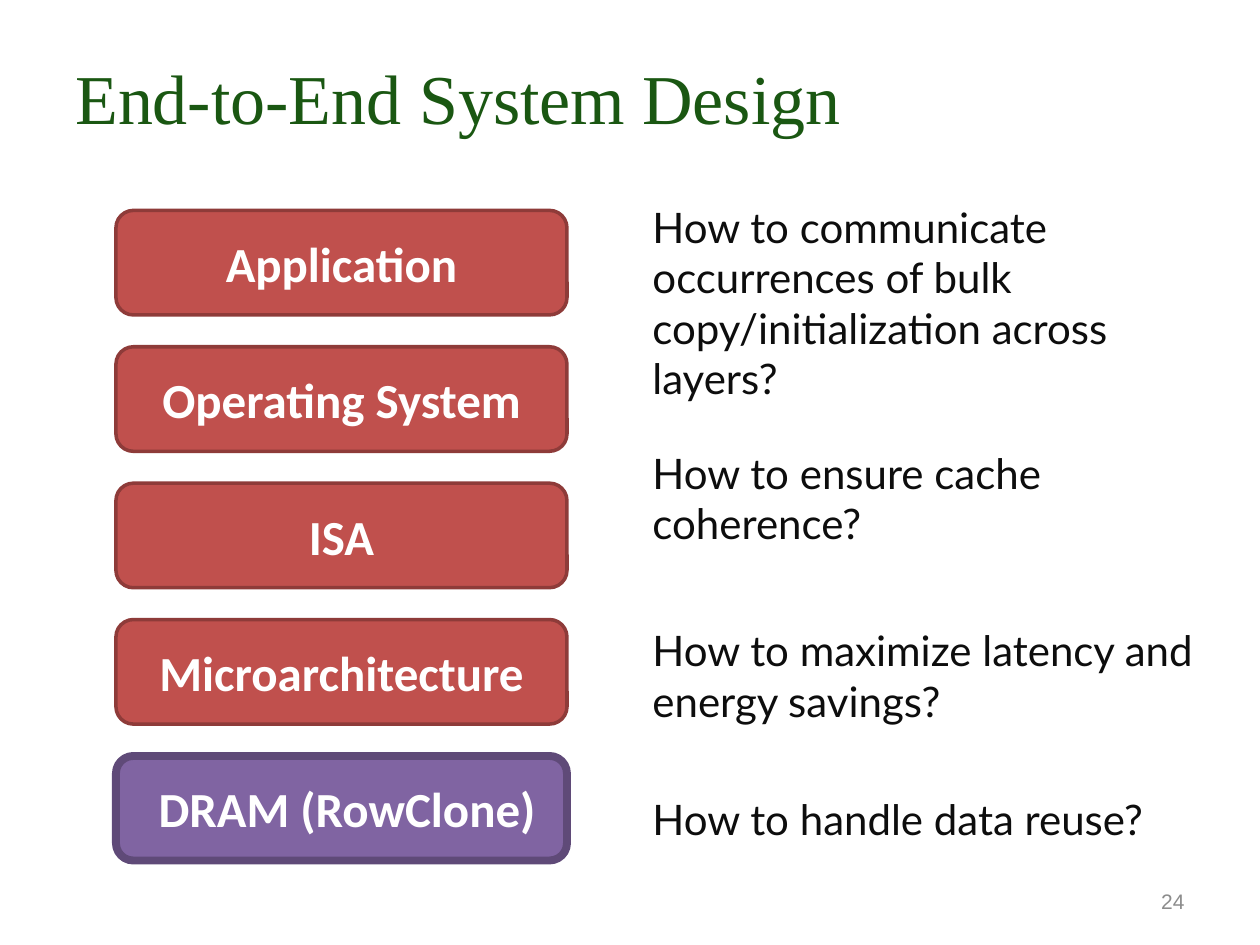
from dataclasses import dataclass

from pptx import Presentation
from pptx.dml.color import RGBColor
from pptx.enum.shapes import MSO_SHAPE
from pptx.enum.text import MSO_ANCHOR, PP_ALIGN
from pptx.util import Inches, Pt

GREEN = RGBColor(0x1A, 0x57, 0x12)
GRAY = RGBColor(0x8C, 0x8C, 0x8C)
INK = RGBColor(0x0D, 0x0D, 0x0D)
WHITE = RGBColor(0xFF, 0xFF, 0xFF)
RED = RGBColor(0xC0, 0x50, 0x4D)
DARK_RED = RGBColor(0x8E, 0x3B, 0x39)
PURPLE = RGBColor(0x80, 0x64, 0xA2)
DARK_PURPLE = RGBColor(0x5F, 0x4A, 0x78)

FIRST_LAYER_TOP = 1.67
LAST_LAYER_TOP = 6.0


@dataclass
class Layer:
    name: str
    fill: RGBColor = RED
    outline: RGBColor = DARK_RED
    outline_width: float = 2


@dataclass
class Question:
    text: str
    top: float
    height: float


# System stack, from top to bottom
LAYERS = [
    Layer("Application"),
    Layer("Operating System"),
    Layer("ISA"),
    Layer("Microarchitecture"),
    Layer(" DRAM (RowClone)", PURPLE, DARK_PURPLE, 4.5),
]

QUESTIONS = [
    Question("How to communicate occurrences of bulk "
             "copy/initialization across layers?", 1.55, 1.31),
    Question("How to ensure cache coherence?", 3.5, 1.72),
    Question("How to maximize latency and energy savings?", 4.91, 0.91),
    Question("How to handle data reuse?", 6.25, 0.5),
]


def write_text(shape, text: str, *, font: str, size: float, color: RGBColor,
               bold: bool = False, align=PP_ALIGN.LEFT,
               anchor=MSO_ANCHOR.MIDDLE) -> None:
    frame = shape.text_frame
    frame.word_wrap = True
    frame.vertical_anchor = anchor
    paragraph = frame.paragraphs[0]
    paragraph.alignment = align
    run = paragraph.add_run()
    run.text = text
    run.font.name = font
    run.font.size = Pt(size)
    run.font.bold = bold
    run.font.color.rgb = color


def add_text_box(slide, text: str, left: float, top: float, width: float,
                 height: float, **text_format) -> None:
    box = slide.shapes.add_textbox(Inches(left), Inches(top),
                                   Inches(width), Inches(height))
    write_text(box, text, **text_format)


def draw_layer(slide, layer: Layer, top: float) -> None:
    shape = slide.shapes.add_shape(MSO_SHAPE.ROUNDED_RECTANGLE, Inches(0.92),
                                   Inches(top), Inches(3.58), Inches(0.83))
    shape.shadow.inherit = False
    shape.fill.solid()
    shape.fill.fore_color.rgb = layer.fill
    shape.line.color.rgb = layer.outline
    shape.line.width = Pt(layer.outline_width)
    write_text(shape, layer.name, font="Calibri", size=28, color=WHITE,
               bold=True, align=PP_ALIGN.CENTER)


def draw_question(slide, question: Question) -> None:
    add_text_box(slide, question.text, 5.08, question.top, 4.58,
                 question.height, font="Lato", size=24, color=INK,
                 anchor=MSO_ANCHOR.TOP)


def main() -> None:
    presentation = Presentation()
    presentation.slide_width = Inches(10)
    presentation.slide_height = Inches(7.5)
    slide = presentation.slides.add_slide(presentation.slide_layouts[6])

    # Title and slide number
    add_text_box(slide, "End-to-End System Design", 0.5, 0.14, 9, 1.25,
                 font="Times New Roman", size=40, color=GREEN)
    add_text_box(slide, "24", 7.17, 6.95, 2.33, 0.4, font="Arial", size=12,
                 color=GRAY, align=PP_ALIGN.RIGHT)

    # Layers at an equal pitch
    pitch = (LAST_LAYER_TOP - FIRST_LAYER_TOP) / (len(LAYERS) - 1)
    for index, layer in enumerate(LAYERS):
        draw_layer(slide, layer, FIRST_LAYER_TOP + index * pitch)

    # Design questions
    for question in QUESTIONS:
        draw_question(slide, question)

    presentation.save("out.pptx")


if __name__ == "__main__":
    main()
